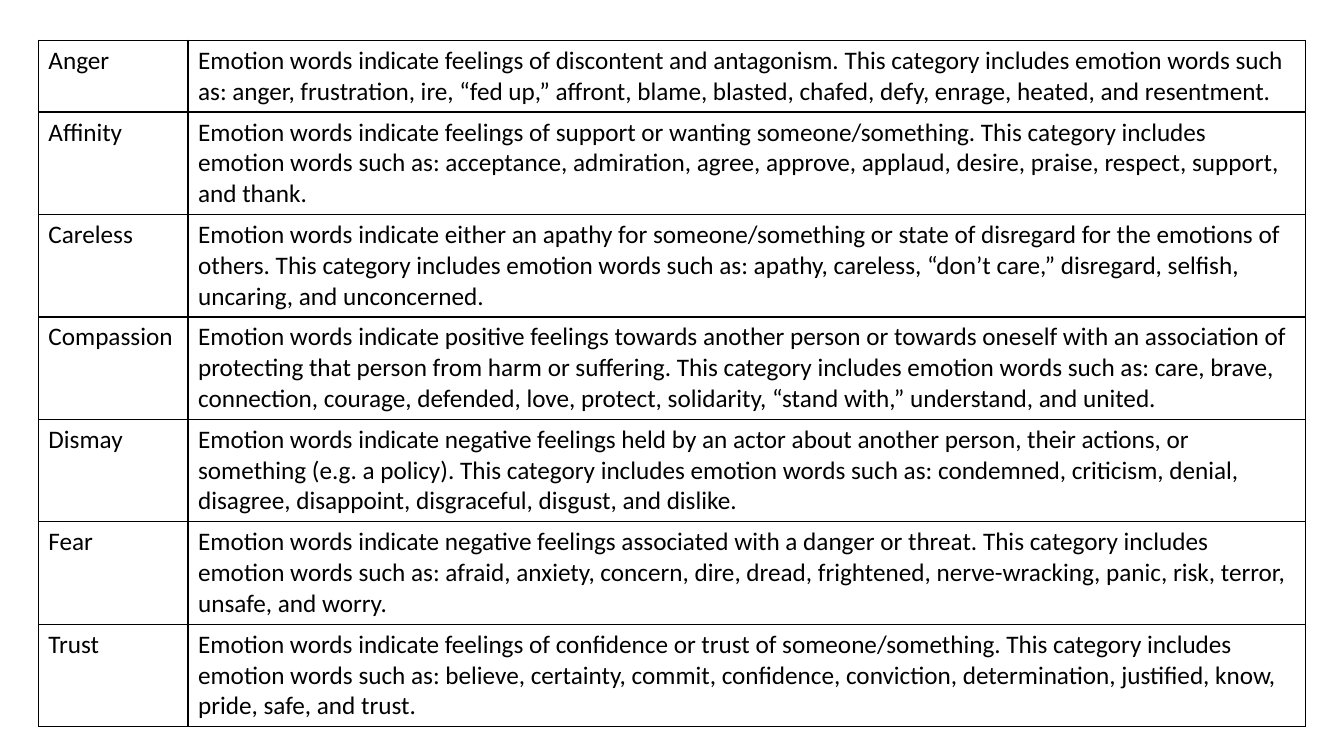
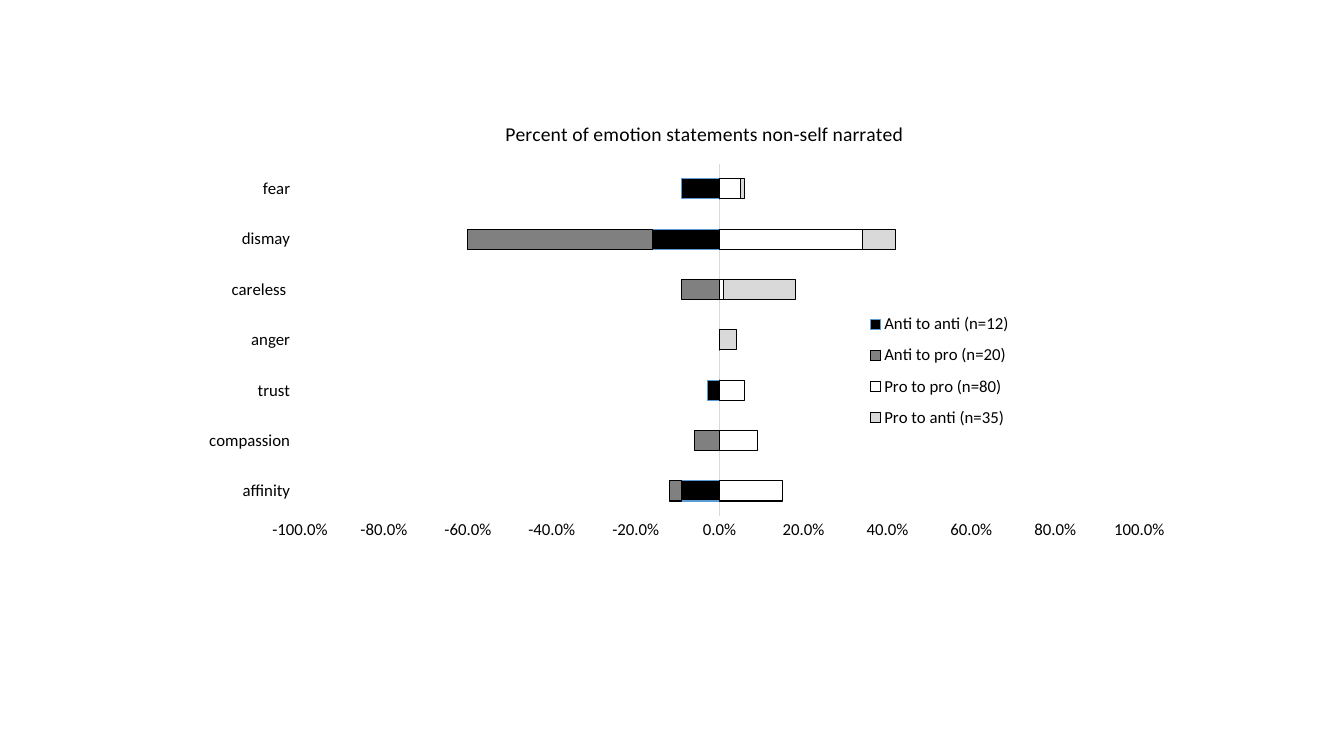
from dataclasses import dataclass

from lxml.etree import SubElement
from pptx import Presentation
from pptx.chart.data import CategoryChartData
from pptx.dml.color import RGBColor
from pptx.enum.chart import XL_CHART_TYPE, XL_LEGEND_POSITION, XL_TICK_LABEL_POSITION, XL_TICK_MARK
from pptx.oxml import parse_xml
from pptx.oxml.ns import nsdecls, qn
from pptx.util import Pt


@dataclass(frozen=True)
class Theme:
    font: str = "Calibri"
    black: str = "000000"
    gray: str = "808080"
    light_gray: str = "D9D9D9"
    white: str = "FFFFFF"
    blue: str = "5B9BD5"
    table_size: int = 18
    title_size: int = 14
    label_size: int = 12
    border_width: float = 1
    chart_line_width: float = 0.75


THEME = Theme()

EMOTIONS = [
    ("Anger", "feelings of discontent and antagonism",
     "anger, frustration, ire, “fed up,” affront, blame, blasted, chafed, defy, enrage, heated, "
     "and resentment"),
    ("Affinity", "feelings of support or wanting someone/something",
     "acceptance, admiration, agree, approve, applaud, desire, praise, respect, support, and thank"),
    ("Careless", "either an apathy for someone/something or state of disregard for the emotions of others",
     "apathy, careless, “don’t care,” disregard, selfish, uncaring, and unconcerned"),
    ("Compassion", "positive feelings towards another person or towards oneself with an association of "
     "protecting that person from harm or suffering",
     "care, brave, connection, courage, defended, love, protect, solidarity, “stand with,” "
     "understand, and united"),
    ("Dismay", "negative feelings held by an actor about another person, their actions, or something "
     "(e.g. a policy)",
     "condemned, criticism, denial, disagree, disappoint, disgraceful, disgust, and dislike"),
    ("Fear", "negative feelings associated with a danger or threat",
     "afraid, anxiety, concern, dire, dread, frightened, nerve-wracking, panic, risk, terror, "
     "unsafe, and worry"),
    ("Trust", "feelings of confidence or trust of someone/something",
     "believe, certainty, commit, confidence, conviction, determination, justified, know, pride, "
     "safe, and trust"),
]

CATEGORIES = ["affinity", "compassion", "trust", "anger", "careless ", "dismay", "fear"]
# name, values, fill colour, line colour
SERIES = [
    ("Anti to anti (n=12)", [-0.09, 0, -0.03, 0, 0, -0.16, -0.09], THEME.black, THEME.blue),
    ("Anti to pro (n=20)", [-0.03, -0.06, 0, 0, -0.09, -0.44, 0], THEME.gray, THEME.black),
    ("Pro to pro (n=80)", [0.15, 0.09, 0.06, 0, 0.01, 0.34, 0.05], THEME.white, THEME.black),
    ("Pro to anti (n=35)", [0, 0, 0, 0.04, 0.17, 0.08, 0.01], THEME.light_gray, THEME.black),
]


def place_chart_part(part, index, **fractions):
    """Give a chart part a manual layout, in fractions of the chart's size."""
    for layout in part.findall(qn("c:layout")):
        part.remove(layout)
    layout = parse_xml(f"<c:layout {nsdecls('c')}><c:manualLayout/></c:layout>")
    manual = layout[0]
    if part.tag == qn("c:plotArea"):
        SubElement(manual, qn("c:layoutTarget")).set("val", "inner")
    for mode in ("xMode", "yMode"):
        SubElement(manual, qn(f"c:{mode}")).set("val", "edge")
    for name, fraction in fractions.items():
        SubElement(manual, qn(f"c:{name}")).set("val", str(fraction))
    part.insert(index, layout)


class Deck:
    def __init__(self, theme):
        self.theme = theme
        self.presentation = Presentation()
        self.presentation.slide_width = Pt(960)
        self.presentation.slide_height = Pt(540)
        self.slide = None

    def add_slide(self):
        self.slide = self.presentation.slides.add_slide(self.presentation.slide_layouts[6])

    def style_font(self, font, size):
        font.name = self.theme.font
        font.size = Pt(size)
        font.bold = False
        font.color.rgb = RGBColor.from_string(self.theme.black)

    def style_line(self, line, color):
        line.color.rgb = RGBColor.from_string(color)
        line.width = Pt(self.theme.chart_line_width)

    def add_run(self, paragraph, text, size):
        run = paragraph.add_run()
        run.text = text
        self.style_font(run.font, size)

    def border_cell(self, cell):
        properties = cell._tc.get_or_add_tcPr()
        for side in ("lnL", "lnR", "lnT", "lnB"):
            line = SubElement(properties, qn(f"a:{side}"), w=str(Pt(self.theme.border_width)))
            fill = SubElement(line, qn("a:solidFill"))
            SubElement(fill, qn("a:srgbClr"), val=self.theme.black)

    def add_table(self, left, top, column_widths, row_heights, rows):
        frame = self.slide.shapes.add_table(
            len(rows), len(column_widths), Pt(left), Pt(top),
            Pt(sum(column_widths)), Pt(sum(row_heights)))
        table = frame.table
        table.first_row = table.horz_banding = False
        for column, width in zip(table.columns, column_widths):
            column.width = Pt(width)
        for row, height, texts in zip(table.rows, row_heights, rows):
            row.height = Pt(height)
            for cell, text in zip(row.cells, texts):
                self.border_cell(cell)
                cell.fill.background()
                self.add_run(cell.text_frame.paragraphs[0], text, self.theme.table_size)

    def add_stacked_bars(self, left, top, width, height, title, categories, series_rows):
        data = CategoryChartData(number_format="0.0%")
        data.categories = categories
        for name, values, _, _ in series_rows:
            data.add_series(name, values)
        chart = self.slide.shapes.add_chart(
            XL_CHART_TYPE.BAR_STACKED, Pt(left), Pt(top), Pt(width), Pt(height), data).chart
        self.style_font(chart.font, self.theme.label_size)
        self.style_bars(chart.plots[0], series_rows)
        self.style_axes(chart)
        chart.has_title = True
        self.add_run(chart.chart_title.text_frame.paragraphs[0], title, self.theme.title_size)
        chart.has_legend = True
        chart.legend.position = XL_LEGEND_POSITION.RIGHT
        chart.legend.include_in_layout = False
        self.style_font(chart.legend.font, self.theme.label_size)
        return chart

    def style_bars(self, plot, series_rows):
        plot.gap_width = 150
        plot.overlap = 100
        plot.vary_by_categories = False
        for series, (_, _, fill_color, line_color) in zip(plot.series, series_rows):
            series.invert_if_negative = False
            series.format.fill.solid()
            series.format.fill.fore_color.rgb = RGBColor.from_string(fill_color)
            self.style_line(series.format.line, line_color)

    def style_axes(self, chart):
        for axis in (chart.category_axis, chart.value_axis):
            axis.has_major_gridlines = False
            axis.major_tick_mark = axis.minor_tick_mark = XL_TICK_MARK.NONE
            self.style_font(axis.tick_labels.font, self.theme.label_size)
        chart.category_axis.tick_label_position = XL_TICK_LABEL_POSITION.LOW
        self.style_line(chart.category_axis.format.line, self.theme.light_gray)
        value_axis = chart.value_axis
        value_axis.minimum_scale, value_axis.maximum_scale = -1, 1
        value_axis.major_unit = 0.2
        value_axis.tick_labels.number_format = "0.0%"
        value_axis.tick_labels.number_format_is_linked = False
        value_axis.format.line.fill.background()


def add_emotion_slide(deck):
    rows = [
        (emotion, f"Emotion words indicate {meaning}. This category includes emotion words such as: {words}.")
        for emotion, meaning, words in EMOTIONS
    ]
    two_lines, three_lines = 51.2, 73.2
    heights = [two_lines] + [three_lines] * (len(rows) - 1)
    deck.add_table(27.4, 28.8, [106.9, 798.5], heights, rows)


def add_narration_slide(deck):
    chart = deck.add_stacked_bars(
        147.6, 69.1, 702.7, 359.3, "Percent of emotion statements non-self narrated", CATEGORIES, SERIES)
    chart_element = chart.element.find(qn("c:chart"))
    place_chart_part(chart_element.find(qn("c:title")), 1, x=0.3, y=0.04)
    place_chart_part(chart_element.find(qn("c:plotArea")), 0, x=0.095, y=0.133, w=0.853, h=0.701)
    place_chart_part(chart_element.find(qn("c:legend")), 1, x=0.66, y=0.41, w=0.17, h=0.27)


def main():
    deck = Deck(THEME)
    for fill_slide in (add_emotion_slide, add_narration_slide):
        deck.add_slide()
        fill_slide(deck)
    deck.presentation.save("out.pptx")


if __name__ == "__main__":
    main()
